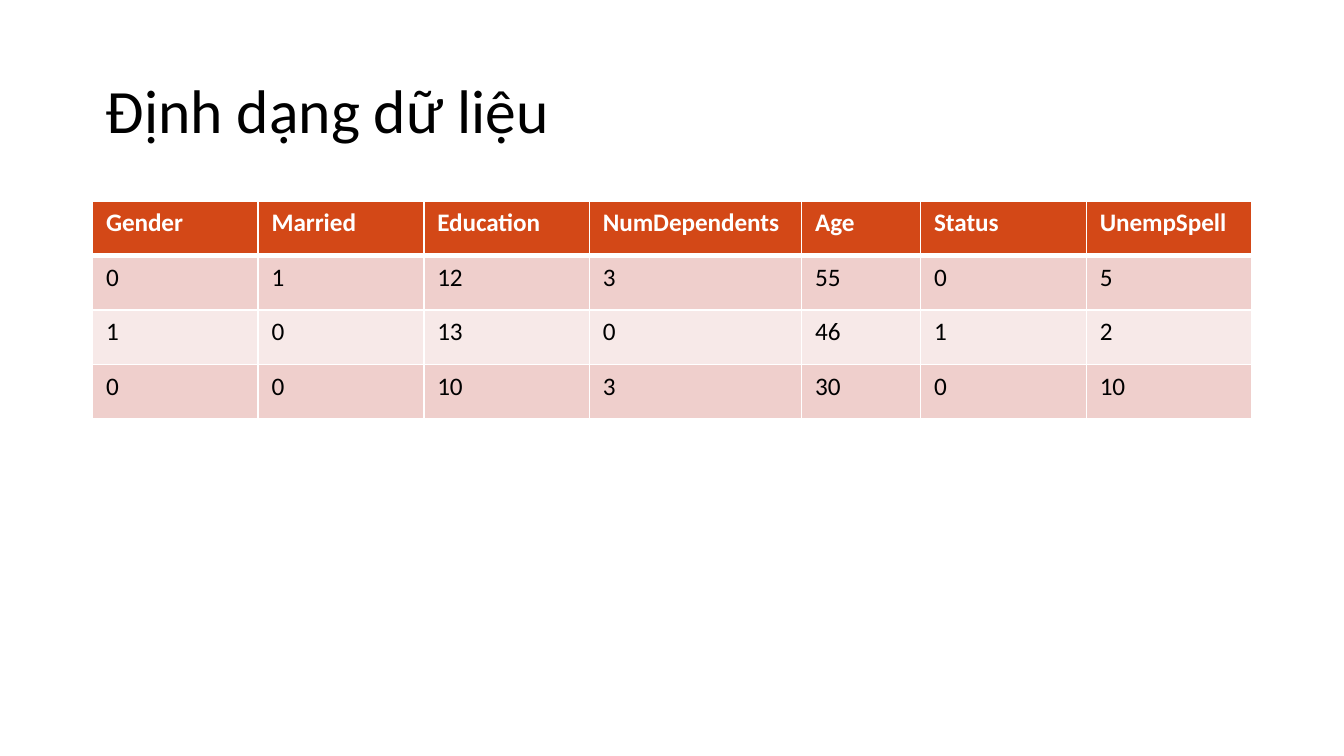
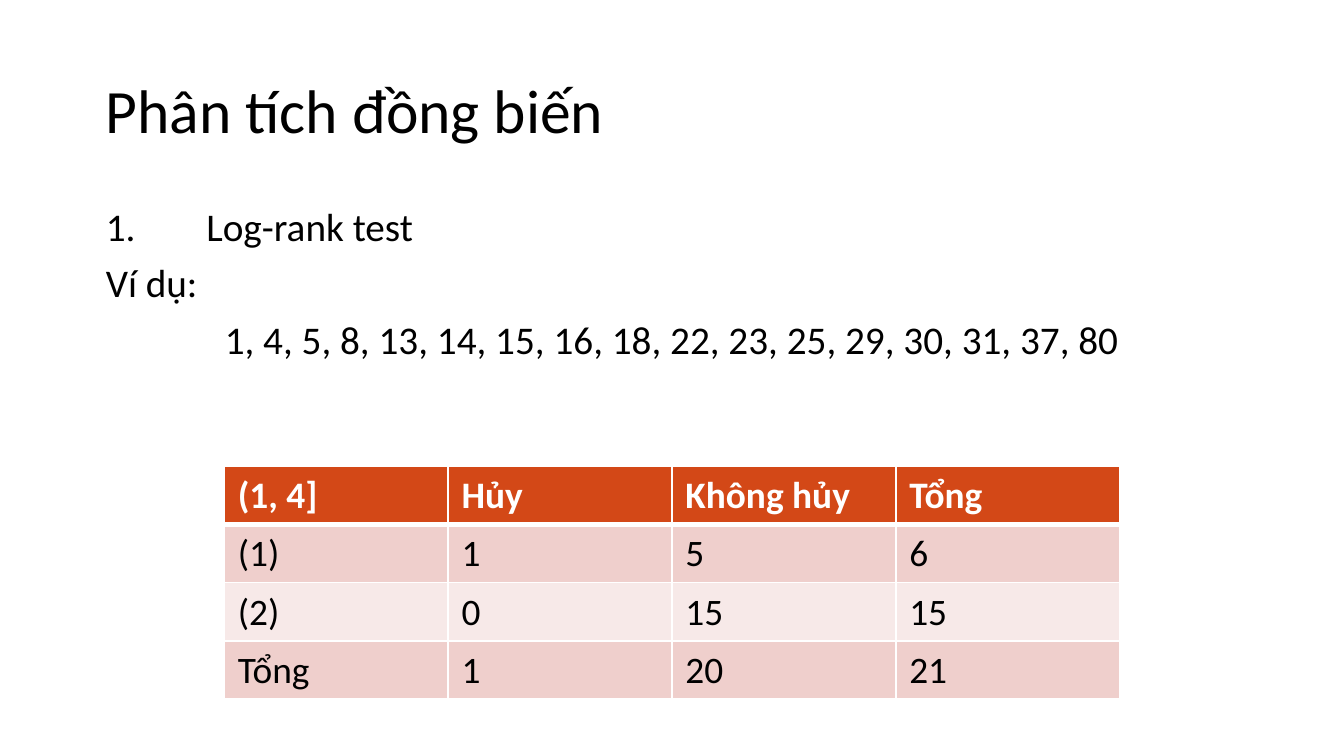
import pptx
import pptx.dml.color
import pptx.enum.text
import pptx.oxml.ns
import pptx.util
from lxml import etree

Cm = pptx.util.Cm
Pt = pptx.util.Pt
RGBColor = pptx.dml.color.RGBColor
PP_ALIGN = pptx.enum.text.PP_ALIGN
MSO_ANCHOR = pptx.enum.text.MSO_ANCHOR
qn = pptx.oxml.ns.qn

# Shared look
FONT = "Calibri"
WHITE = RGBColor(0xFF, 0xFF, 0xFF)
BLACK = RGBColor(0x00, 0x00, 0x00)
HEADER_FILL = RGBColor(0xD3, 0x48, 0x17)
BAND_FILLS = (RGBColor(0xEF, 0xCF, 0xCC), RGBColor(0xF7, 0xE9, 0xE8))
THIN, THICK = Pt(1), Pt(3)
LEFT, WIDTH = Cm(1.75), Cm(21.9)
BODY_TOP = Cm(3.8)

# Table content
DATA_ROWS = [
    ["Gender", "Married", "Education", "NumDependents", "Age", "Status", "UnempSpell"],
    [0, 1, 12, 3, 55, 0, 5],
    [1, 0, 13, 0, 46, 1, 2],
    [0, 0, 10, 3, 30, 0, 10],
]
DATA_WIDTHS = [3.13, 3.13, 3.13, 4.01, 2.25, 3.13, 3.13]
LOG_RANK_ROWS = [
    ["(1, 4]", "Hủy", "Không hủy", "Tổng"],
    ["(1)", 1, 5, 6],
    ["(2)", 0, 15, 15],
    ["Tổng", 1, 20, 21],
]


def write(paragraph, text, *, size, color=BLACK, bold=False, align=PP_ALIGN.LEFT,
          line_spacing=None, before=None, tab=None):
    """Put formatted text in a paragraph."""
    paragraph.alignment = align
    if line_spacing is not None:
        paragraph.line_spacing = line_spacing
    if before is not None:
        paragraph.space_before = Pt(before)
    if tab is not None:
        tabs = etree.SubElement(paragraph._p.get_or_add_pPr(), qn("a:tabLst"))
        etree.SubElement(tabs, qn("a:tab"), pos=str(tab), algn="l")
    run = paragraph.add_run()
    run.text = text
    run.font.name = FONT
    run.font.size = Pt(size)
    run.font.bold = bold
    run.font.color.rgb = color


def add_frame(slide, top, height, anchor=MSO_ANCHOR.TOP):
    """Add a wrapping text box across the content width."""
    frame = slide.shapes.add_textbox(LEFT, top, WIDTH, height).text_frame
    frame.word_wrap = True
    frame.vertical_anchor = anchor
    return frame


def add_titled_slide(deck, title):
    slide = deck.slides.add_slide(deck.slide_layouts[6])
    frame = add_frame(slide, Cm(0.76), Cm(2.76), MSO_ANCHOR.MIDDLE)
    write(frame.paragraphs[0], title, size=33, line_spacing=0.9)
    return slide


def add_borders(cell, **widths):
    """Draw white cell edges; the edge names are L, R, T and B."""
    properties = cell._tc.get_or_add_tcPr()
    for edge, width in widths.items():
        line = etree.SubElement(properties, qn(f"a:ln{edge}"), w=str(width))
        fill = etree.SubElement(line, qn("a:solidFill"))
        etree.SubElement(fill, qn("a:srgbClr"), val=str(WHITE))


def add_banded_table(slide, rows, left, top, widths, row_height, size):
    """Add a table with a header row and alternating bands."""
    table = slide.shapes.add_table(
        len(rows), len(widths), left, top,
        Cm(sum(widths)), Cm(row_height * len(rows))).table
    for column, width in zip(table.columns, widths):
        column.width = Cm(width)
    for r, values in enumerate(rows):
        header = r == 0
        table.rows[r].height = Cm(row_height)
        for c, value in enumerate(values):
            cell = table.cell(r, c)
            # Borders go before the fill in the cell properties
            add_borders(cell, L=THIN, R=THIN,
                        T=THICK if r == 1 else THIN,
                        B=THICK if header else THIN)
            cell.fill.solid()
            cell.fill.fore_color.rgb = HEADER_FILL if header else BAND_FILLS[(r - 1) % 2]
            write(cell.text_frame.paragraphs[0], str(value), size=size,
                  color=WHITE if header else BLACK, bold=header)


def add_data_format_slide(deck):
    slide = add_titled_slide(deck, "Định dạng dữ liệu")
    add_banded_table(slide, DATA_ROWS, LEFT, BODY_TOP, DATA_WIDTHS,
                     row_height=1.03, size=13.5)


def add_log_rank_slide(deck):
    slide = add_titled_slide(deck, "Phân tích đồng biến")
    body = add_frame(slide, BODY_TOP, Cm(9.07))
    body_format = {"size": 21, "line_spacing": 0.9, "before": 7.5}
    write(body.paragraphs[0], "1.\tLog-rank test", tab=Cm(1.9), **body_format)
    write(body.add_paragraph(), "Ví dụ:", **body_format)
    write(body.add_paragraph(),
          "1, 4, 5, 8, 13, 14, 15, 16, 18, 22, 23, 25, 29, 30, 31, 37, 80",
          align=PP_ALIGN.CENTER, **body_format)
    add_banded_table(slide, LOG_RANK_ROWS, Cm(4.24), Cm(8.81), [4.23] * 4,
                     row_height=1.1, size=20)


def main():
    deck = pptx.Presentation()
    deck.slide_width, deck.slide_height = Cm(25.4), Cm(14.29)
    add_data_format_slide(deck)
    add_log_rank_slide(deck)
    deck.save("out.pptx")


if __name__ == "__main__":
    main()
